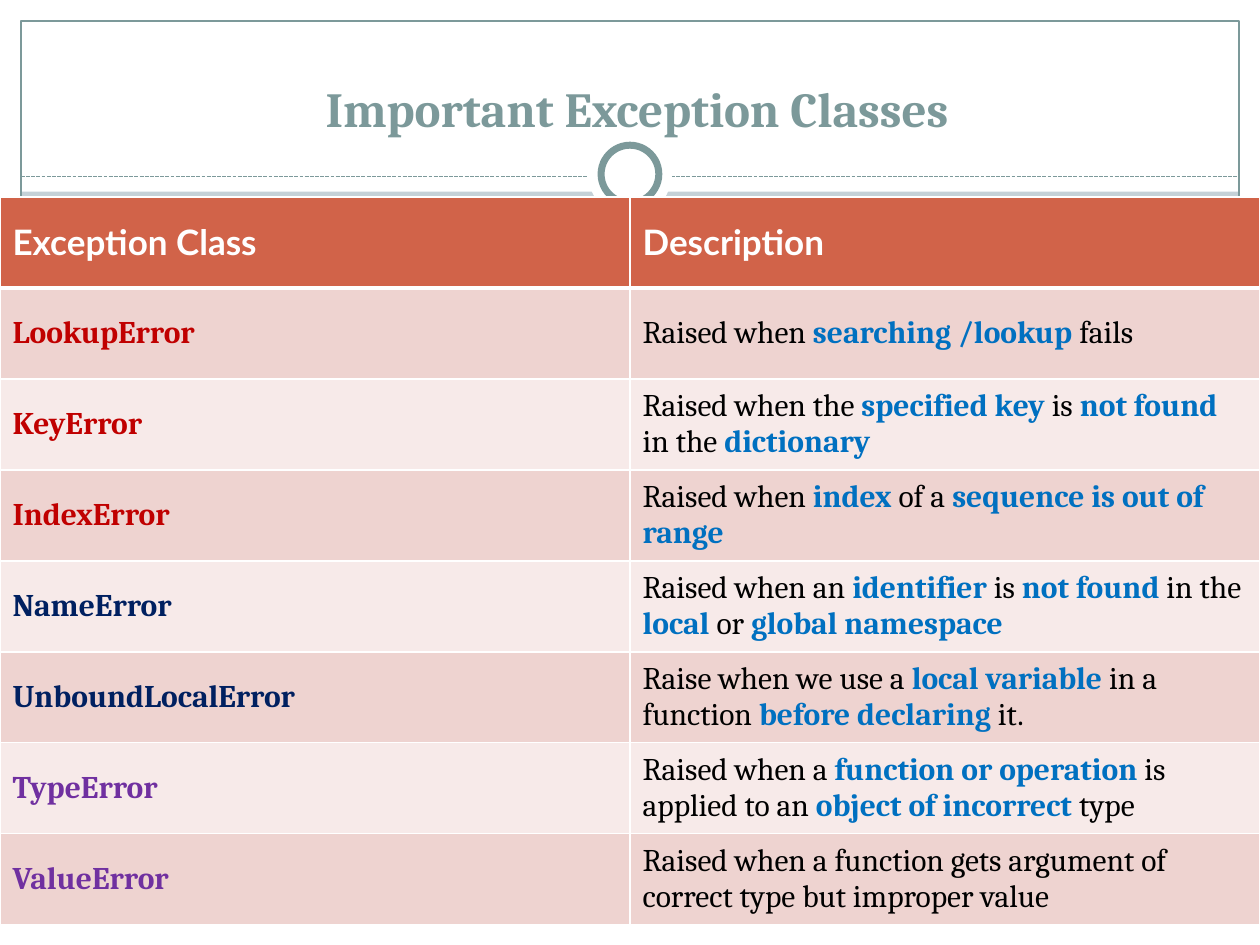
from lxml import etree
from pptx import Presentation
from pptx.dml.color import RGBColor
from pptx.enum.dml import MSO_LINE
from pptx.enum.shapes import MSO_CONNECTOR, MSO_SHAPE
from pptx.enum.text import MSO_ANCHOR, PP_ALIGN
from pptx.oxml.ns import qn
from pptx.util import Pt

RECTANGLE = MSO_SHAPE.RECTANGLE
OVAL = MSO_SHAPE.OVAL
STRAIGHT = MSO_CONNECTOR.STRAIGHT
DASHED = MSO_LINE.SQUARE_DOT
BOTTOM = MSO_ANCHOR.BOTTOM
MIDDLE = MSO_ANCHOR.MIDDLE
CENTER = PP_ALIGN.CENTER

WIDTH, HEIGHT = 720, 540
MARGIN = 12
WHITE, BLACK = "FFFFFF", "000000"
TEAL, RUST, BLUE = "7C999A", "D16349", "0070C0"
RED, NAVY, PURPLE = "C00000", "002060", "7030A0"
BANDS = ("EED3D0", "F7EAE9")

HEADINGS = ("Exception Class", "Description")
EXCEPTIONS = [
    ("LookupError", RED, "Raised when *searching /lookup *fails"),
    ("KeyError", RED,
     "Raised when the *specified key *is *not found *in the *dictionary"),
    ("IndexError", RED,
     "Raised when *index* of a *sequence is out of range"),
    ("NameError", NAVY,
     "Raised when an *identifier* is *not found *in the *local* or *global namespace"),
    ("UnboundLocalError", NAVY,
     "Raise when we use a *local variable *in a function *before declaring *it."),
    ("TypeError", PURPLE,
     "Raised when a *function or operation *is applied to an *object of incorrect *type"),
    ("ValueError", PURPLE,
     "Raised when a function gets argument of correct type but improper value"),
]


def rgb(value):
    return RGBColor.from_string(value)


def style_run(run, size, font, color, bold):
    run.font.size = Pt(size)
    run.font.name = font
    run.font.color.rgb = rgb(color)
    run.font.bold = bold


def add_outline(slide, kind, box, fill=None, line=None, weight=0.75):
    outline = slide.shapes.add_shape(kind, *map(Pt, box))
    outline.shadow.inherit = False
    if fill:
        outline.fill.solid()
        outline.fill.fore_color.rgb = rgb(fill)
    else:
        outline.fill.background()
    if line:
        outline.line.color.rgb = rgb(line)
        outline.line.width = Pt(weight)
    else:
        outline.line.fill.background()


def add_frame(slide, box):
    left, top, width, height = box
    header, divider = 109.5, 100.8
    right, bottom = left + width, top + height
    inner = width - 2 * MARGIN
    for edge in (
        (left, bottom - MARGIN, width, MARGIN),
        (left, top, width, header),
        (left, top, MARGIN, height),
        (right - MARGIN, top, MARGIN, height),
    ):
        add_outline(slide, RECTANGLE, edge, WHITE)
    add_outline(slide, RECTANGLE,
                (left + MARGIN, bottom - MARGIN - 24.5, inner, 24.5), "8CADAE")
    add_outline(slide, RECTANGLE,
                (left + MARGIN, top + MARGIN, inner, height - 2 * MARGIN), line=TEAL)

    rule = slide.shapes.add_connector(
        STRAIGHT, Pt(left + MARGIN), Pt(top + divider),
        Pt(right - MARGIN), Pt(top + divider))
    rule.line.color.rgb = rgb(TEAL)
    rule.line.width = Pt(0.75)
    rule.line.dash_style = DASHED
    etree.SubElement(rule._element.spPr, qn("a:effectLst"))

    center_x, center_y = left + width / 2, top + 99.5
    for diameter, line in ((48, None), (33, TEAL)):
        add_outline(slide, OVAL,
                    (center_x - diameter / 2, center_y - diameter / 2,
                     diameter, diameter), WHITE, line, 4)


def add_title(slide, box):
    title = slide.shapes.add_textbox(*map(Pt, box)).text_frame
    title.word_wrap = True
    title.vertical_anchor = BOTTOM
    title.text = "Important Exception Classes"
    title.paragraphs[0].alignment = CENTER
    style_run(title.paragraphs[0].runs[0], 28, "Cambria", TEAL, True)


def style_cell(cell, fill, top, bottom):
    properties = cell._tc.get_or_add_tcPr()
    for side, weight in (("L", 1), ("R", 1), ("T", top), ("B", bottom)):
        border = etree.SubElement(properties, qn(f"a:ln{side}"), w=str(Pt(weight)))
        solid = etree.SubElement(border, qn("a:solidFill"))
        etree.SubElement(solid, qn("a:srgbClr"), val=WHITE)
    cell.fill.solid()
    cell.fill.fore_color.rgb = rgb(fill)
    cell.vertical_anchor = MIDDLE


def add_exception_table(slide, box):
    row_count = len(EXCEPTIONS) + 1
    table = slide.shapes.add_table(row_count, 2, *map(Pt, box)).table
    table.horz_banding = False
    for row in table.rows:
        row.height = Pt(box[3] / row_count)

    for cell, heading in zip(table.rows[0].cells, HEADINGS):
        style_cell(cell, RUST, 1, 3)
        cell.text_frame.text = heading
        style_run(cell.text_frame.paragraphs[0].runs[0], 20, "Lato", WHITE, True)

    for index, (name, color, description) in enumerate(EXCEPTIONS):
        name_cell, description_cell = table.rows[index + 1].cells
        for cell in (name_cell, description_cell):
            style_cell(cell, BANDS[index % 2], 1 if index else 3, 1)
        name_cell.text_frame.text = name
        style_run(name_cell.text_frame.paragraphs[0].runs[0],
                  18, "Cambria", color, True)
        paragraph = description_cell.text_frame.paragraphs[0]
        for position, phrase in enumerate(description.split("*")):
            key_phrase = position % 2 == 1
            run = paragraph.add_run()
            run.text = phrase
            style_run(run, 18, "Cambria", BLUE if key_phrase else BLACK, key_phrase)


def main():
    presentation = Presentation()
    presentation.slide_width = Pt(WIDTH)
    presentation.slide_height = Pt(HEIGHT)
    slide = presentation.slides.add_slide(presentation.slide_layouts[6])
    slide.background.fill.solid()
    slide.background.fill.fore_color.rgb = rgb("C5D1D7")
    add_frame(slide, (0, 0, WIDTH, HEIGHT))
    add_title(slide, (28, 22.3, 672, 59.8))
    add_exception_table(slide, (0, 112.5, WIDTH, 416))
    presentation.save("out.pptx")


if __name__ == "__main__":
    main()
